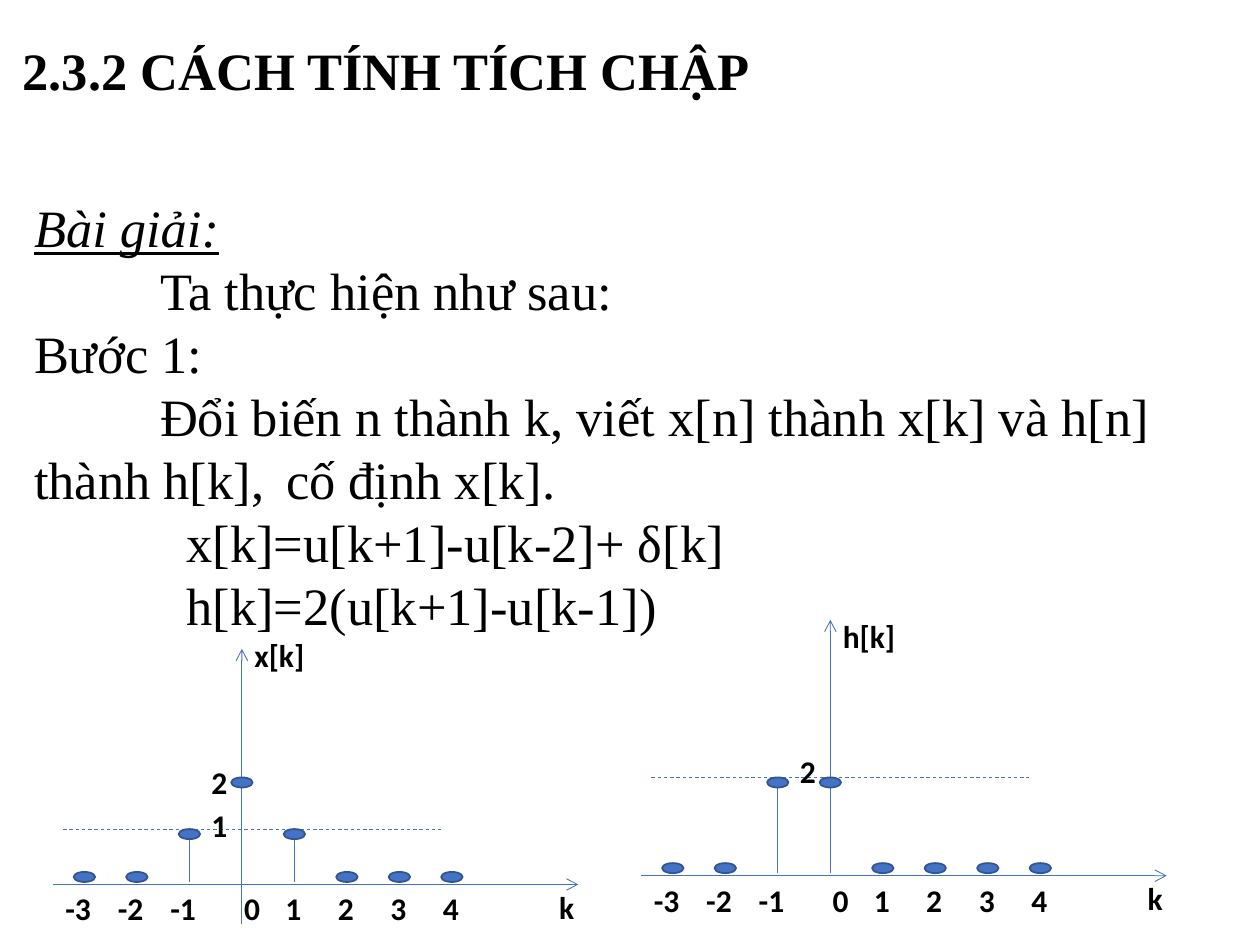
from pptx import Presentation
from pptx.dml.color import RGBColor
from pptx.enum.dml import MSO_LINE
from pptx.enum.shapes import MSO_CONNECTOR, MSO_SHAPE
from pptx.enum.text import MSO_ANCHOR, MSO_AUTO_SIZE, PP_ALIGN
from pptx.oxml.ns import qn
from pptx.util import Inches, Pt
from lxml.etree import SubElement


def rgb(color):
    return RGBColor.from_string(color)


class SlideBuilder:
    HEAD_FONT, LABEL_FONT = "Times New Roman", "Calibri"
    TEXT, BLUE, EDGE = "000000", "4472C4", "325491"
    STEP = 5 / 12
    DOT_W, DOT_H = 0.17, 0.08

    def __init__(self, slide):
        self.slide = slide
        self.shapes = slide.shapes

    def style(self, p, font, size, bold=False):
        p.alignment = PP_ALIGN.LEFT
        p.line_spacing = 1.0
        p.space_before = p.space_after = Pt(0)
        p.font.name, p.font.size, p.font.bold = font, Pt(size), bold
        p.font.color.rgb = rgb(self.TEXT)

    def place(self, sp, box, wrap):
        sp.left, sp.top, sp.width, sp.height = map(Inches, box)
        tf = sp.text_frame
        tf.word_wrap = wrap
        tf.auto_size = MSO_AUTO_SIZE.SHAPE_TO_FIT_TEXT
        tf.vertical_anchor = MSO_ANCHOR.TOP
        return tf

    def title(self, text, box):
        tf = self.place(self.slide.shapes.title, box, False)
        tf.text = text
        self.style(tf.paragraphs[0], self.HEAD_FONT, 30, True)

    def body(self, lines, box):
        tf = self.place(self.slide.placeholders[1], box, True)
        tf.text = "\n".join(text for text, indent in lines)
        for p, (text, indent) in zip(tf.paragraphs, lines):
            self.style(p, self.HEAD_FONT, 30)
            pPr = p._p.get_or_add_pPr()
            pPr.set("marL", "0")
            pPr.set("indent", str(Inches(indent)))
            pPr.set("defTabSz", str(Inches(1)))
            pPr.insert_element_before(pPr.makeelement(qn("a:buNone"), {}),
                                      "a:tabLst", "a:defRPr", "a:extLst")
        heading = tf.paragraphs[0].font
        heading.italic = heading.underline = True

    def label(self, text, x, y, w=0.34):
        sp = self.shapes.add_textbox(0, 0, 0, 0)
        tf = self.place(sp, (x, y, w, 0.4), False)
        tf.text = text
        self.style(tf.paragraphs[0], self.LABEL_FONT, 18, True)

    def line(self, x1, y1, x2, y2, arrow=False, dash=False):
        ln = self.shapes.add_connector(MSO_CONNECTOR.STRAIGHT,
                                       *map(Inches, (x1, y1, x2, y2)))
        ln.line.color.rgb = rgb(self.BLUE)
        ln.line.width = Pt(0.5)
        if dash:
            ln.line.dash_style = MSO_LINE.DASH
        if arrow:
            SubElement(ln.line._get_or_add_ln(), qn("a:tailEnd"), type="arrow")
        SubElement(ln._element.spPr, qn("a:effectLst"))

    def dot(self, x, y):
        sp = self.shapes.add_shape(
            MSO_SHAPE.OVAL, Inches(x - self.DOT_W / 2), Inches(y),
            Inches(self.DOT_W), Inches(self.DOT_H))
        sp.shadow.inherit = False
        sp.fill.solid()
        sp.fill.fore_color.rgb = rgb(self.BLUE)
        sp.line.color.rgb = rgb(self.EDGE)
        sp.line.width = Pt(1)

    def stem_plot(self, name, cx, axis_y, top, bottom, name_y, samples,
                  levels, level_labels, dash_y):
        self.shapes = self.slide.shapes.add_group_shape().shapes
        self.line(cx - 1.5, axis_y, cx + 2.67, axis_y, arrow=True)
        self.line(cx, bottom, cx, top, arrow=True)
        self.line(cx - 1.42, dash_y, cx + 1.58, dash_y, dash=True)
        self.label(name, cx, name_y, 0.65)
        self.label("k", cx + 2.42, axis_y - 0.02)
        for value, y in level_labels.items():
            self.label(str(value), cx - 0.34, y)
        for k in range(-3, 5):
            x = cx + k * self.STEP
            if k < 0:
                self.label(str(k), x - 0.25, axis_y - 0.01, 0.42)
            else:
                self.label(str(k), x - (0.17 if k else 0.08), axis_y - 0.01)
            value = samples.get(k, 0)
            if value:
                self.line(x, axis_y - 0.02, x, levels[value] + self.DOT_H)
            if value or k:
                self.dot(x, levels[value])
        self.shapes = self.slide.shapes


def main():
    prs = Presentation()
    prs.slide_width, prs.slide_height = Inches(10), Inches(7.5)
    s = SlideBuilder(prs.slides.add_slide(prs.slide_layouts[1]))
    s.title("2.3.2 CÁCH TÍNH TÍCH CHẬP", (0.08, 0.25, 6.03, 0.61))
    s.body([
        ("Bài giải:", 0),
        ("Ta thực hiện như sau:", 1),
        ("Bước 1:", 0),
        ("Đổi biến n thành k, viết x[n] thành x[k] và h[n] "
         "thành h[k], \tcố định x[k].", 1),
        ("x[k]=u[k+1]-u[k-2]+ δ[k]", 1.21),
        ("h[k]=2(u[k+1]-u[k-1])", 1.21),
    ], (0.17, 1.5, 9.58, 3.64))
    s.stem_plot("x[k]", 1.92, 7.02, 5.15, 7.33, 5, {-1: 1, 0: 2, 1: 1},
                {0: 6.92, 1: 6.58, 2: 6.17}, {1: 6.35, 2: 6.01}, 6.58)
    s.stem_plot("h[k]", 6.59, 6.95, 4.92, 6.93, 4.85, {-1: 2, 0: 2},
                {0: 6.85, 2: 6.17}, {2: 5.92}, 6.17)
    prs.save("out.pptx")


if __name__ == "__main__":
    main()
